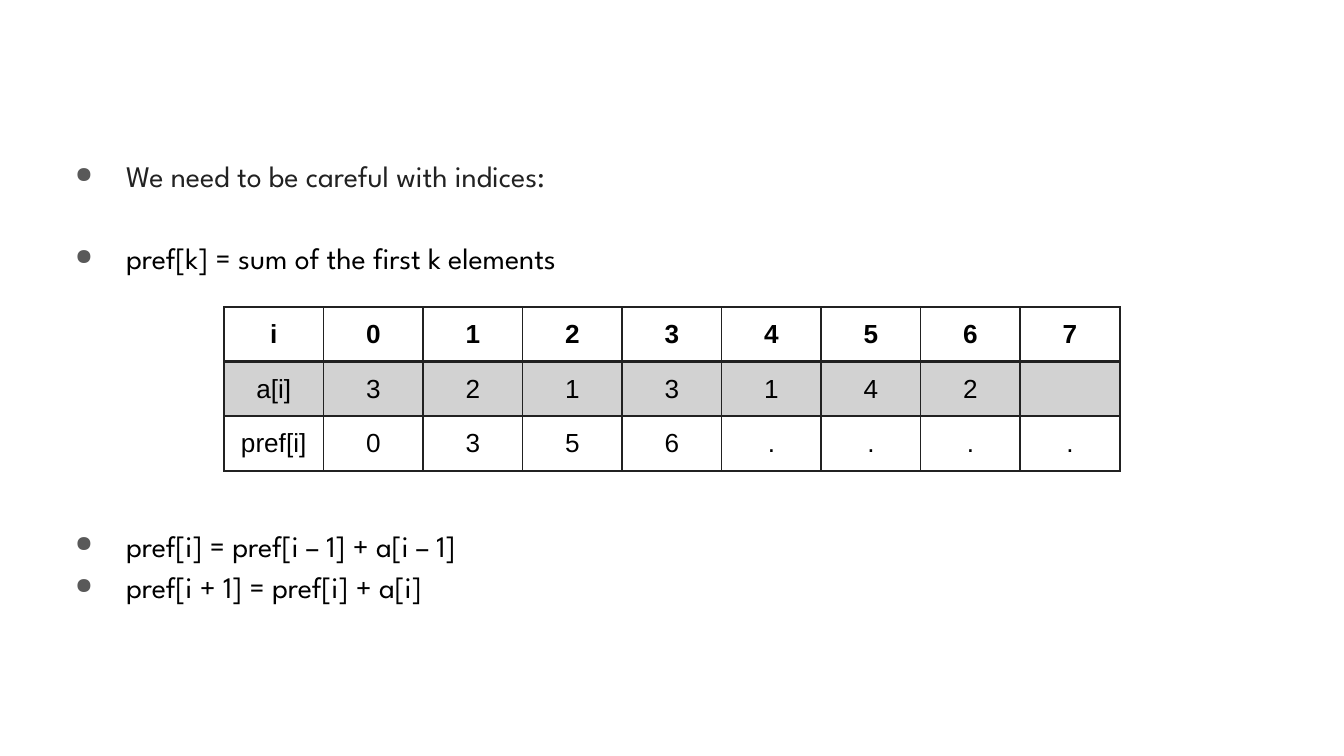
import dataclasses
import typing

import lxml.etree
import pptx
import pptx.dml.color
import pptx.enum.text
import pptx.oxml.ns
import pptx.util

BLACK = pptx.dml.color.RGBColor(0x00, 0x00, 0x00)
INK = pptx.dml.color.RGBColor(0x21, 0x21, 0x21)
INTRO = pptx.dml.color.RGBColor(0x22, 0x22, 0x22)
BULLET = pptx.dml.color.RGBColor(0x59, 0x59, 0x59)

SLIDE_WIDTH = pptx.util.Inches(10)
SLIDE_HEIGHT = SLIDE_WIDTH * 9 // 16
BODY_LINE = 22


@dataclasses.dataclass(frozen=True)
class Area:
    left: float
    top: float
    width: float
    height: float

    def box(self) -> tuple[int, ...]:
        return (
            int(self.left * SLIDE_WIDTH),
            int(self.top * SLIDE_HEIGHT),
            int(self.width * SLIDE_WIDTH),
            int(self.height * SLIDE_HEIGHT),
        )


@dataclasses.dataclass(frozen=True)
class Point:
    text: str
    color: pptx.dml.color.RGBColor = BLACK
    lines_before: int = 0


@dataclasses.dataclass(frozen=True)
class IndexRow:
    values: tuple[str, ...]
    bold: bool = False
    shaded: bool = False
    top_border: float = 1
    bottom_border: float = 1


BODY = Area(0.034, 0.184, 0.932, 0.664)
GRID = Area(1 / 6, 0.406, 2 / 3, 0.217)

POINTS = (
    Point("We need to be careful with indices:", INTRO),
    Point("pref[k] = sum of the first k elements", lines_before=1),
    Point("pref[i] = pref[i – 1] + a[i – 1]", lines_before=6),
    Point("pref[i + 1] = pref[i] + a[i]"),
)

ROWS = (
    IndexRow(("i", *map(str, range(8))), bold=True, bottom_border=2),
    IndexRow(("a[i]", *"3213142", ""), shaded=True, top_border=2),
    IndexRow(("pref[i]", *"0356", *"....")),
)


def add_xml(parent: typing.Any, tag: str, **attributes: str) -> typing.Any:
    return lxml.etree.SubElement(parent, pptx.oxml.ns.qn(tag), attributes)


def write(paragraph: typing.Any, text: str, *, font: str, size: float,
          color: pptx.dml.color.RGBColor, bold: bool = False,
          align: typing.Any = None, line_spacing: float | None = None,
          space_before: float = 0) -> None:
    paragraph.alignment = align
    paragraph.line_spacing = line_spacing
    paragraph.space_before = pptx.util.Pt(space_before)
    run = paragraph.add_run()
    run.text = text
    run.font.name = font
    run.font.size = pptx.util.Pt(size)
    run.font.bold = bold
    run.font.color.rgb = color


def add_bullet(paragraph: typing.Any) -> None:
    properties = paragraph._p.get_or_add_pPr()
    properties.set("marL", str(pptx.util.Inches(0.5)))
    properties.set("indent", str(pptx.util.Inches(-0.38)))
    add_xml(add_xml(properties, "a:buClr"), "a:srgbClr", val=str(BULLET))
    add_xml(properties, "a:buSzPct", val="75000")
    add_xml(properties, "a:buChar", char="●")


def draw_points(slide: typing.Any, area: Area, points: tuple[Point, ...]) -> None:
    frame = slide.shapes.add_textbox(*area.box()).text_frame
    frame.word_wrap = True
    inset = pptx.util.Inches(0.1)
    frame.margin_left = frame.margin_right = inset
    frame.margin_top = frame.margin_bottom = inset
    for number, point in enumerate(points):
        paragraph = frame.add_paragraph() if number else frame.paragraphs[0]
        write(paragraph, point.text, font="League Spartan", size=16,
              color=point.color, line_spacing=1.15,
              space_before=point.lines_before * BODY_LINE)
        add_bullet(paragraph)


def set_borders(cell: typing.Any, row: IndexRow) -> None:
    properties = cell._tc.get_or_add_tcPr()
    widths = {"L": 1, "R": 1, "T": row.top_border, "B": row.bottom_border}
    for position, (side, width) in enumerate(widths.items()):
        line = add_xml(properties, f"a:ln{side}", w=str(pptx.util.Pt(width)))
        add_xml(add_xml(line, "a:solidFill"), "a:srgbClr", val=str(INK))
        properties.insert(position, line)


def shade(cell: typing.Any, shaded: bool) -> None:
    if not shaded:
        cell.fill.background()
        return
    cell.fill.solid()
    cell.fill.fore_color.rgb = INK
    color = cell._tc.tcPr.find(".//" + pptx.oxml.ns.qn("a:srgbClr"))
    add_xml(color, "a:alpha", val="20000")


def draw_index_table(slide: typing.Any, area: Area, rows: tuple[IndexRow, ...]) -> None:
    columns = len(rows[0].values)
    table = slide.shapes.add_table(len(rows), columns, *area.box()).table
    table.first_row = False
    table.horz_banding = False
    for row_number, row in enumerate(rows):
        for column, value in enumerate(row.values):
            cell = table.cell(row_number, column)
            cell.vertical_anchor = pptx.enum.text.MSO_ANCHOR.MIDDLE
            shade(cell, row.shaded)
            set_borders(cell, row)
            if value:
                write(cell.text_frame.paragraphs[0], value, font="Arial", size=14,
                      color=BLACK, bold=row.bold,
                      align=pptx.enum.text.PP_ALIGN.CENTER)


def main() -> None:
    deck = pptx.Presentation()
    deck.slide_width = SLIDE_WIDTH
    deck.slide_height = SLIDE_HEIGHT
    slide = deck.slides.add_slide(deck.slide_layouts[6])
    draw_points(slide, BODY, POINTS)
    draw_index_table(slide, GRID, ROWS)
    deck.save("out.pptx")


if __name__ == "__main__":
    main()
